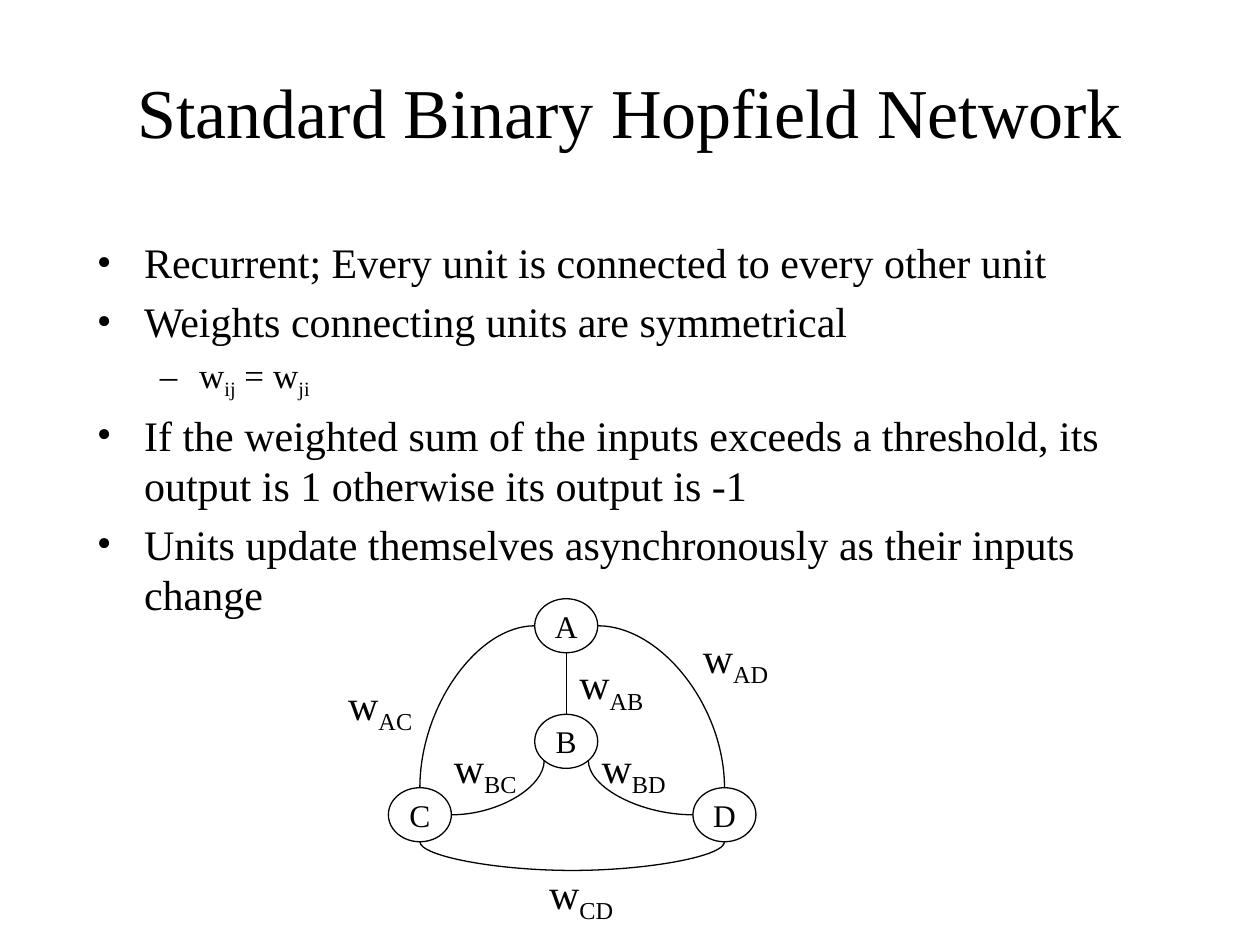
from dataclasses import dataclass

from lxml.etree import SubElement
from pptx import Presentation
from pptx.dml.color import RGBColor
from pptx.enum.shapes import MSO_CONNECTOR as Link, MSO_SHAPE as Shape
from pptx.enum.text import MSO_ANCHOR as Anchor, MSO_AUTO_SIZE as Fit, PP_ALIGN as Align
from pptx.oxml.ns import qn
from pptx.util import Cm, Pt


@dataclass(frozen=True)
class Theme:
    font: str = "Times New Roman"
    ink: RGBColor = RGBColor(0, 0, 0)
    paper: RGBColor = RGBColor(255, 255, 255)
    title: int = 40
    point: int = 24
    subpoint: int = 20
    unit: int = 18
    weight: int = 24
    stroke: float = 0.75


THEME = Theme()

# Bullet, left margin and hanging indent in cm, type size for each level
LEVELS = [("•", 0.95, 0.95, THEME.point), ("–", 2.06, 0.79, THEME.subpoint)]

# (level, runs); every second run is a subscript
POINTS = [
    (0, ["Recurrent; Every unit is connected to every other unit"]),
    (0, ["Weights connecting units are symmetrical"]),
    (1, ["w", "ij", " = w", "ji"]),
    (0, ["If the weighted sum of the inputs exceeds a threshold, "
         "its output is 1 otherwise its output is -1"]),
    (0, ["Units update themselves asynchronously as their inputs change"]),
]

# Network geometry in cm, relative to its box
UNIT_W, UNIT_H = 1.27, 1.09
UNITS = {"B": (4.01, 2.33), "C": (1.06, 3.81), "A": (4.01, 0), "D": (7.2, 3.81)}
WEIGHTS = {"AD": (7.15, 0.53), "AB": (4.66, 1.06), "AC": (0, 1.48),
           "BC": (2.13, 2.75), "BD": (5.11, 2.75), "CD": (4.05, 5.29)}

# Ellipse connection sites: index and position as a share of the unit
SITES = {"top": (0, 0.5, 0), "left": (2, 0, 0.5), "lower left": (3, 0.15, 0.85),
         "bottom": (4, 0.5, 1), "lower right": (5, 0.85, 0.85), "right": (6, 1, 0.5)}

# Quarter curves leave the first unit sideways and meet the second vertically
CURVES = [("A", "left", "C", "top"), ("A", "right", "D", "top"),
          ("C", "right", "B", "lower left"), ("D", "left", "B", "lower right")]
SAG = Cm(0.64)
THIN = 1588  # narrowest extent of the sagging curve, in EMU


def add_runs(paragraph, texts, size):
    for order, text in enumerate(texts):
        run = paragraph.add_run()
        run.text = text
        run.font.name = THEME.font
        run.font.size = Pt(size)
        run.font.color.rgb = THEME.ink
        if order % 2:
            run.font._element.set("baseline", "-25000")


def place(shape, left, top, width, height):
    shape.left, shape.top, shape.width, shape.height = map(Cm, (left, top, width, height))


def add_title(slide, *box):
    heading = slide.shapes.title
    place(heading, *box)
    heading.text_frame.auto_size = Fit.NONE
    heading.text_frame.vertical_anchor = Anchor.MIDDLE
    line = heading.text_frame.paragraphs[0]
    line.alignment = Align.CENTER
    add_runs(line, ["Standard Binary Hopfield Network"], THEME.title)


def add_points(slide, *box):
    body = slide.placeholders[1]
    place(body, *box)
    frame = body.text_frame
    frame.auto_size = Fit.NONE
    for order, (level, texts) in enumerate(POINTS):
        point = frame.add_paragraph() if order else frame.paragraphs[0]
        bullet, margin, hang, size = LEVELS[level]
        point.level = level
        props = point._p.get_or_add_pPr()
        props.set("marL", str(Cm(margin)))
        props.set("indent", str(-Cm(hang)))
        SubElement(props, qn("a:buFont"), typeface=THEME.font)
        SubElement(props, qn("a:buChar"), char=bullet)
        add_runs(point, texts, size)


def add_network(slide, left, top):
    shapes = slide.shapes
    units = {}

    def site(name, side):
        _, across, down = SITES[side]
        x, y = UNITS[name]
        return Cm(left + x + across * UNIT_W), Cm(top + y + down * UNIT_H)

    def connect(kind, first, first_side, second, second_side):
        link = shapes.add_connector(kind, *site(first, first_side), *site(second, second_side))
        link.line.color.rgb = THEME.ink
        link.line.width = Pt(THEME.stroke)
        SubElement(link._element.spPr, qn("a:effectLst"))
        glue = link._element.nvCxnSpPr.cNvCxnSpPr
        for tag, name, side in (("a:stCxn", first, first_side), ("a:endCxn", second, second_side)):
            SubElement(glue, qn(tag), id=str(units[name].shape_id), idx=str(SITES[side][0]))
        return link

    # Units
    for name, (x, y) in UNITS.items():
        unit = shapes.add_shape(Shape.OVAL, Cm(left + x), Cm(top + y), Cm(UNIT_W), Cm(UNIT_H))
        unit.shadow.inherit = False
        unit.fill.solid()
        unit.fill.fore_color.rgb = THEME.paper
        unit.line.color.rgb = THEME.ink
        unit.line.width = Pt(THEME.stroke)
        unit.text_frame.word_wrap = False
        unit.text_frame.vertical_anchor = Anchor.MIDDLE
        letter = unit.text_frame.paragraphs[0]
        letter.alignment = Align.CENTER
        add_runs(letter, [name], THEME.unit)
        units[name] = unit

    # Connections
    connect(Link.STRAIGHT, "B", "top", "A", "bottom")
    for ends in CURVES:
        curve = connect(Link.CURVE, *ends)
        curve._element.spPr.find(qn("a:prstGeom")).set("prst", "curvedConnector2")

    # Sagging curve: a sideways S-connector turned to hang below C and D
    sag = connect(Link.CURVE, "C", "bottom", "D", "bottom")
    span = sag.width
    sag.left, sag.top = sag.left + (span - THIN) // 2, sag.top - span // 2
    sag.width, sag.height = THIN, span
    frame = sag._element.spPr.find(qn("a:xfrm"))
    frame.set("rot", "16200000")
    frame.set("flipH", "1")
    adjust = sag._element.spPr.find(qn("a:prstGeom")).find(qn("a:avLst"))
    SubElement(adjust, qn("a:gd"), name="adj1", fmla=f"val {SAG * 100000 // THIN}")

    # Weight labels
    for pair, (x, y) in WEIGHTS.items():
        label = shapes.add_textbox(Cm(left + x), Cm(top + y), Cm(1.9), Cm(1.27)).text_frame
        label.word_wrap = False
        label.auto_size = Fit.SHAPE_TO_FIT_TEXT
        add_runs(label.paragraphs[0], ["w", pair], THEME.weight)


deck = Presentation()
deck.slide_width, deck.slide_height = Cm(25.4), Cm(19.05)
hopfield = deck.slides.add_slide(deck.slide_layouts[1])
add_title(hopfield, 1.9, 0.64, 21.59, 3.17)
add_points(hopfield, 1.7, 4.65, 21.59, 8.05)
add_network(hopfield, 6.77, 12.07)
deck.save("out.pptx")
